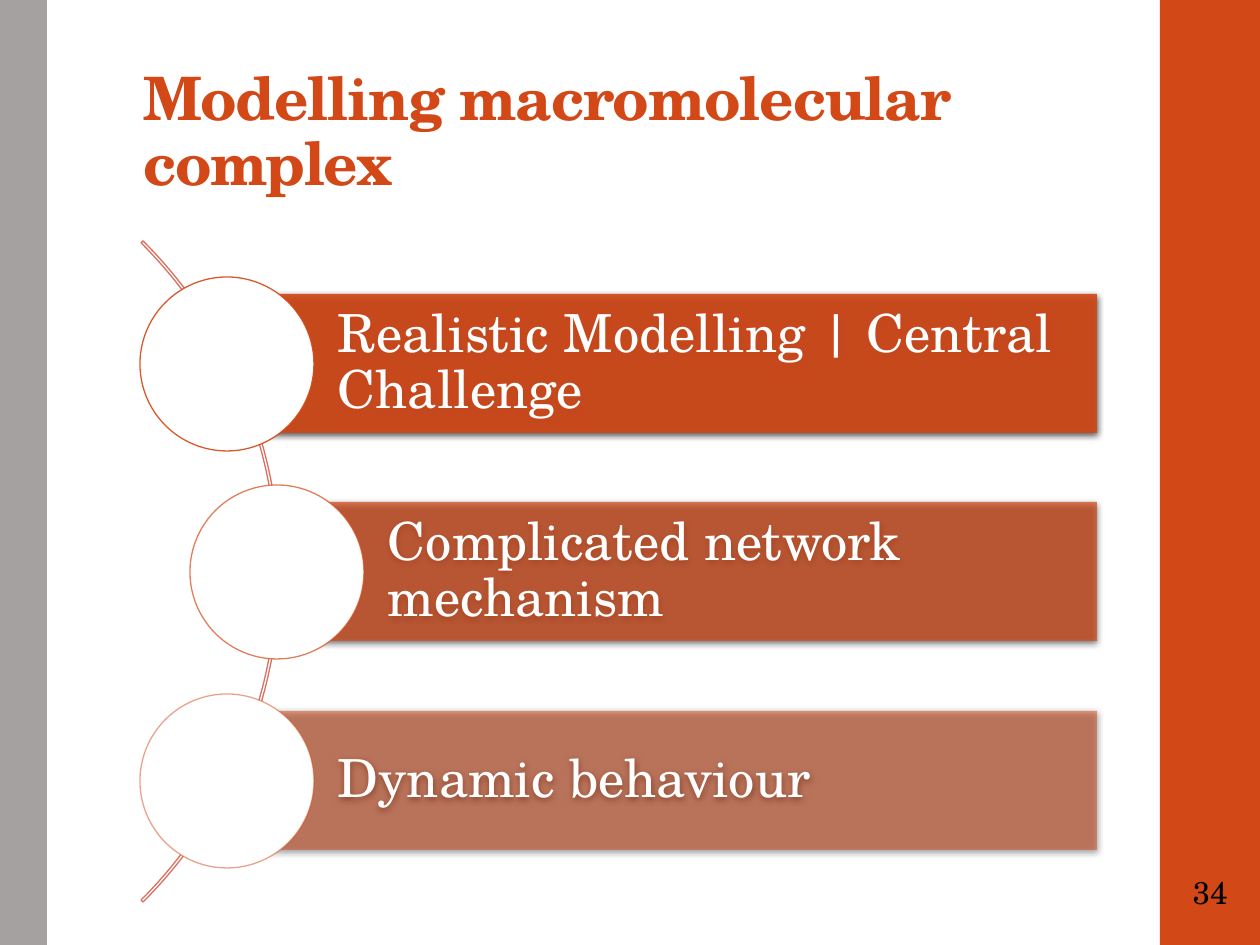
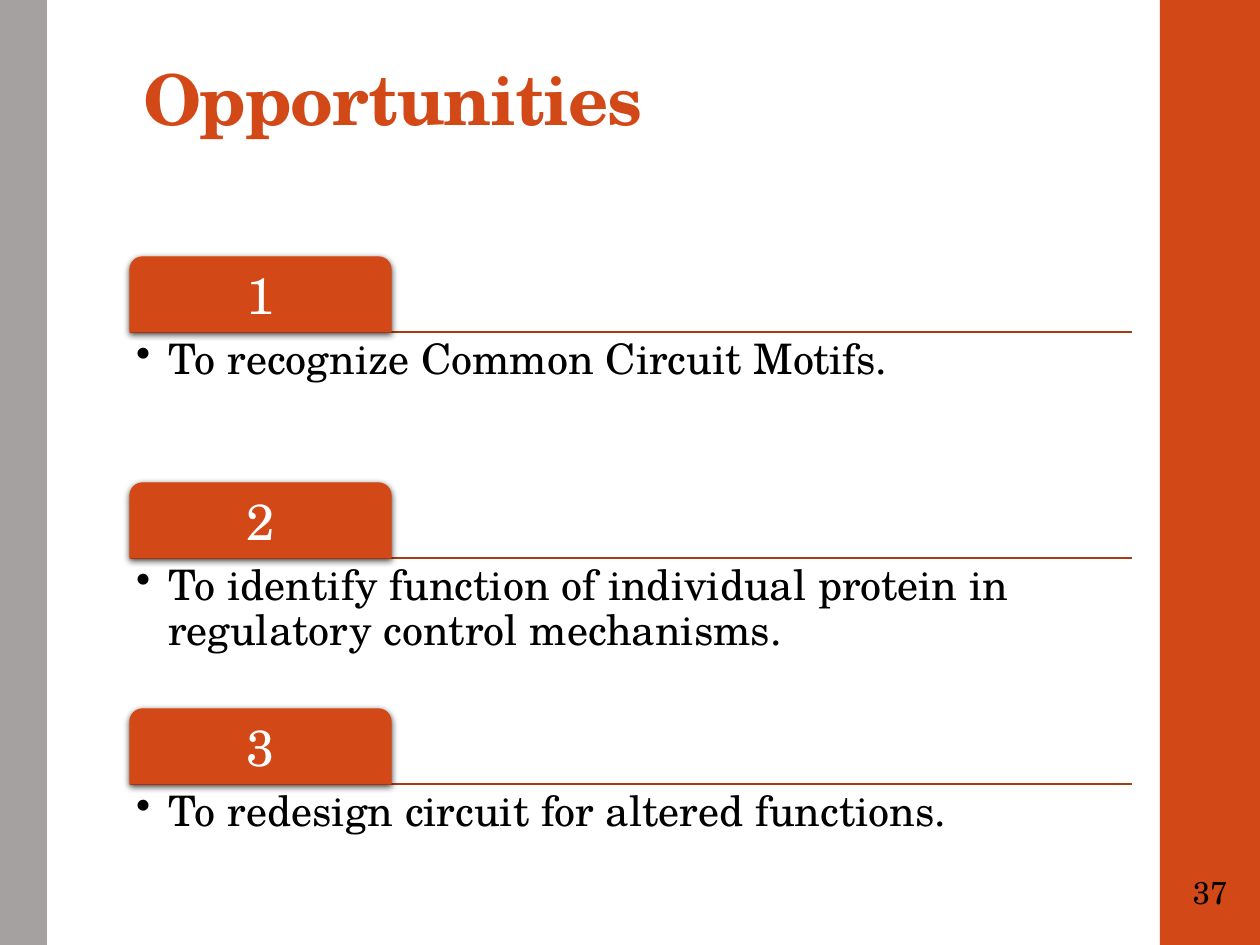
from dataclasses import dataclass

from lxml.etree import SubElement
from pptx import Presentation
from pptx.dml.color import RGBColor
from pptx.enum.shapes import MSO_CONNECTOR, MSO_SHAPE
from pptx.enum.text import MSO_ANCHOR, PP_ALIGN
from pptx.oxml.ns import qn
from pptx.util import Emu, Pt

FONT = "TeX Gyre Schola"
ORANGE, GREY, WHITE, BLACK = "D34817", "A6A1A1", "FFFFFF", "000000"
ARC_RED, RULE_BROWN = "D86F5F", "A93A12"

SLIDE_WIDTH, SLIDE_HEIGHT = 1260, 945
LEFT = 130
BAND_LEFT = 1160
HAIRLINE = 0.75


@dataclass(frozen=True)
class Box:
    left: int
    top: int
    width: int
    height: int

    def emu(self):
        return px(self.left), px(self.top), px(self.width), px(self.height)


@dataclass(frozen=True)
class Challenge:
    label: str
    bar_left: int
    opacity: int


@dataclass(frozen=True)
class TextStyle:
    size: float
    color: str
    bold: bool = False
    align: PP_ALIGN = PP_ALIGN.LEFT
    anchor: MSO_ANCHOR = MSO_ANCHOR.MIDDLE
    margins: tuple[int, int, int, int] = (13, 6, 13, 6)
    line_spacing: float = 0.9
    tracking: int = 0
    hanging: int = 0


CHALLENGES = (
    Challenge("Realistic Modelling | Central Challenge", 227, 90),
    Challenge("Complicated network mechanism", 277, 70),
    Challenge("Dynamic behaviour", 227, 50),
)
OPPORTUNITIES = (
    "To recognize Common Circuit Motifs.",
    "To identify function of individual protein in regulatory control mechanisms.",
    "To redesign circuit for altered functions.",
)

PAGE_STYLE = TextStyle(18, BLACK, align=PP_ALIGN.CENTER, margins=(4, 6, 4, 6), line_spacing=1.0)
BAR_STYLE = TextStyle(30, WHITE, margins=(111, 10, 10, 10))
TAB_STYLE = TextStyle(29, WHITE, align=PP_ALIGN.CENTER, margins=(8, 12, 8, 8))
GOAL_STYLE = TextStyle(24, BLACK, anchor=MSO_ANCHOR.TOP, margins=(6, 6, 6, 6), hanging=32)


def px(length: int) -> Emu:
    return Emu(round(length * 914400 / 126))


def rgb(color: str) -> RGBColor:
    return RGBColor.from_string(color)


def set_opacity(fill_parent, percent: int) -> None:
    """Make the solid colour directly below an spPr or ln element translucent."""
    color = fill_parent.find(qn("a:solidFill"))[0]
    SubElement(color, qn("a:alpha"), val=str(percent * 1000))


def add_soft_shadow(shape) -> None:
    effects = shape._element.spPr.find(qn("a:effectLst"))
    shadow = SubElement(effects, qn("a:outerShdw"), blurRad=str(Pt(4)), dist=str(Pt(1.2)),
                        dir="5400000", rotWithShape="0")
    color = SubElement(shadow, qn("a:srgbClr"), val=BLACK)
    SubElement(color, qn("a:alpha"), val="75000")


def add_figure(slide, kind: MSO_SHAPE, box: Box, fill: str | None = None,
               line: str | None = None, opacity: int = 100, line_opacity: int = 100):
    shape = slide.shapes.add_shape(kind, *box.emu())
    shape.shadow.inherit = False
    if fill:
        shape.fill.solid()
        shape.fill.fore_color.rgb = rgb(fill)
        if opacity < 100:
            set_opacity(shape._element.spPr, opacity)
    else:
        shape.fill.background()
    if line:
        shape.line.color.rgb = rgb(line)
        shape.line.width = Pt(HAIRLINE)
        if line_opacity < 100:
            set_opacity(shape._element.spPr.find(qn("a:ln")), line_opacity)
    else:
        shape.line.fill.background()
    return shape


def write(shape, text: str, style: TextStyle) -> None:
    frame = shape.text_frame
    frame.word_wrap = True
    frame.vertical_anchor = style.anchor
    (frame.margin_left, frame.margin_top,
     frame.margin_right, frame.margin_bottom) = map(px, style.margins)
    frame.text = text
    paragraph = frame.paragraphs[0]
    paragraph.alignment = style.align
    paragraph.line_spacing = style.line_spacing
    if style.hanging:
        properties = paragraph._p.get_or_add_pPr()
        properties.set("marL", str(px(style.hanging)))
        properties.set("indent", str(-px(style.hanging)))
        SubElement(properties, qn("a:buChar"), char="•")
    for run in paragraph.runs:
        run.font.name = FONT
        run.font.size = Pt(style.size)
        run.font.bold = style.bold
        run.font.color.rgb = rgb(style.color)
        if style.tracking:
            run._r.get_or_add_rPr().set("spc", str(style.tracking))


def add_text(slide, box: Box, text: str, style: TextStyle) -> None:
    write(slide.shapes.add_textbox(*box.emu()), text, style)


def add_rule(slide, left: int, right: int, y: int) -> None:
    rule = slide.shapes.add_connector(MSO_CONNECTOR.STRAIGHT, px(left), px(y), px(right), px(y))
    rule.line.color.rgb = rgb(RULE_BROWN)
    rule.line.width = Pt(HAIRLINE)
    SubElement(rule._element.spPr, qn("a:effectLst"))


def add_framed_slide(deck, title: str, title_box: Box, title_size: float, page: int):
    """Add a slide with its side bands, title and page number."""
    slide = deck.slides.add_slide(deck.slide_layouts[6])
    band_width = SLIDE_WIDTH - BAND_LEFT
    add_figure(slide, MSO_SHAPE.RECTANGLE, Box(BAND_LEFT, 0, band_width, SLIDE_HEIGHT), ORANGE)
    add_figure(slide, MSO_SHAPE.RECTANGLE, Box(0, 0, 47, SLIDE_HEIGHT), GREY)
    add_text(slide, title_box, title,
             TextStyle(title_size, ORANGE, bold=True, anchor=MSO_ANCHOR.BOTTOM, tracking=-70))
    add_text(slide, Box(1163, 851, 94, 82), str(page), PAGE_STYLE)
    return slide


def build_modelling(deck) -> None:
    slide = add_framed_slide(deck, "Modelling macromolecular complex",
                             Box(LEFT, 50, 975, 154), 34.2, 34)
    arc = add_figure(slide, MSO_SHAPE.BLOCK_ARC, Box(-655, 104, 935, 935), line=ARC_RED)
    # From 315 to 45 degrees, as a hair-thin ring
    for index, value in enumerate((189, 27, 0.003)):
        arc.adjustments[index] = value

    bar_right, bar_height, diameter = 1097, 139, 174
    for index, challenge in enumerate(CHALLENGES):
        top = 294 + index * 417 // 2
        bar_box = Box(challenge.bar_left, top, bar_right - challenge.bar_left, bar_height)
        bar = add_figure(slide, MSO_SHAPE.RECTANGLE, bar_box, ORANGE, opacity=challenge.opacity)
        add_soft_shadow(bar)
        write(bar, challenge.label, BAR_STYLE)
        circle_box = Box(challenge.bar_left - diameter // 2, top - (diameter - bar_height) // 2,
                         diameter, diameter)
        add_figure(slide, MSO_SHAPE.OVAL, circle_box, WHITE, ORANGE,
                   line_opacity=challenge.opacity)


def build_opportunities(deck) -> None:
    width = 1002
    slide = add_framed_slide(deck, "Opportunities", Box(LEFT, 50, width, 97), 40, 37)
    tab_height = 75
    for index, goal in enumerate(OPPORTUNITIES):
        rule_y = 332 + 226 * index
        add_rule(slide, LEFT, LEFT + width, rule_y)
        tab = add_figure(slide, MSO_SHAPE.ROUND_2_SAME_RECTANGLE,
                         Box(LEFT, rule_y - tab_height, 261, tab_height), ORANGE, ORANGE)
        add_soft_shadow(tab)
        write(tab, str(index + 1), TAB_STYLE)
        add_text(slide, Box(LEFT, rule_y, width, 149), goal, GOAL_STYLE)


def main() -> None:
    deck = Presentation()
    deck.slide_width, deck.slide_height = px(SLIDE_WIDTH), px(SLIDE_HEIGHT)
    build_modelling(deck)
    build_opportunities(deck)
    deck.save("out.pptx")


if __name__ == "__main__":
    main()
